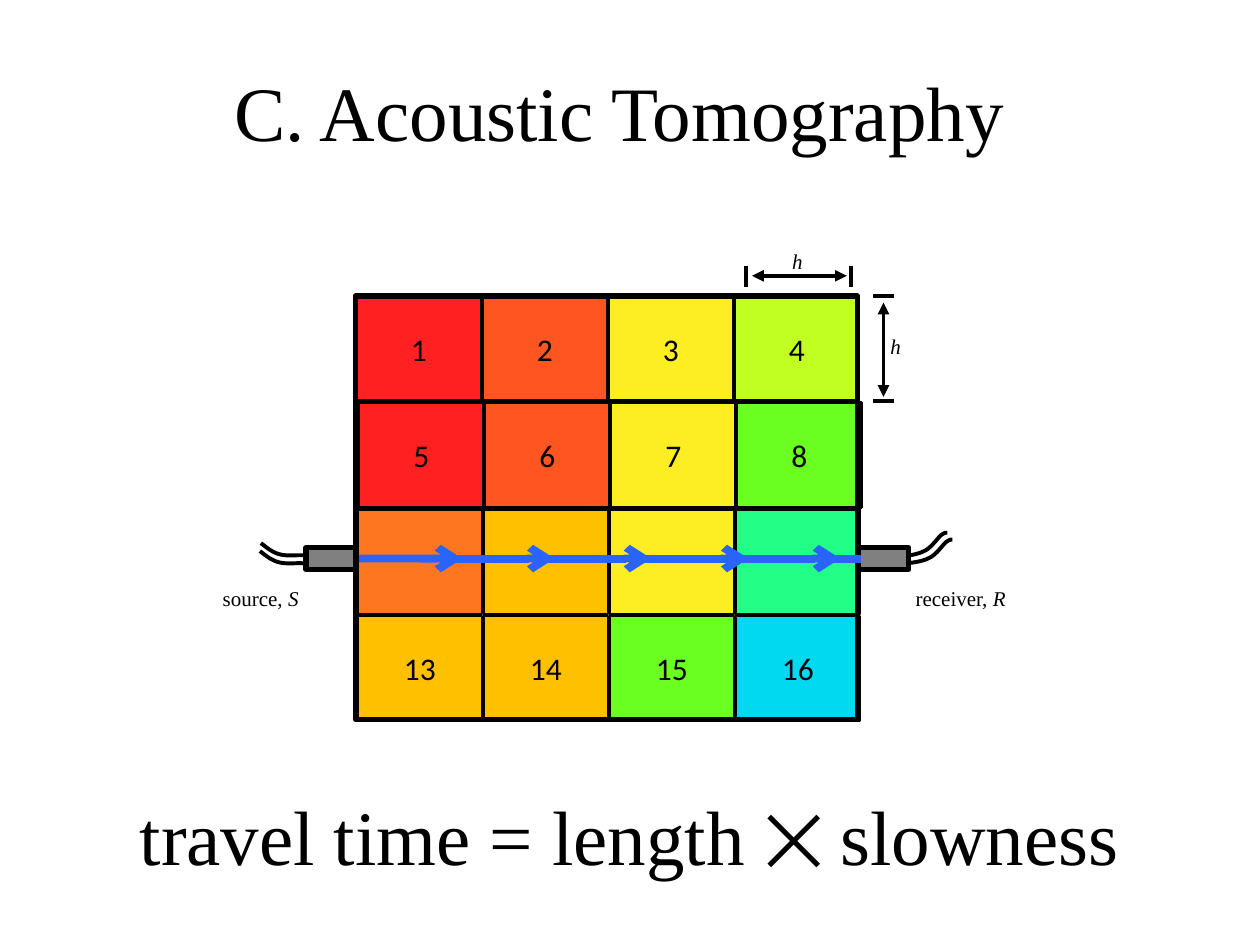
import pptx
import pptx.util
import pptx.dml.color
import pptx.enum.shapes
import pptx.enum.text
import pptx.oxml
import pptx.oxml.ns
from pptx.util import Cm

THEME = {
    "serif": "Times New Roman", "sans": "Calibri",
    "ink": "000000", "ray": "2B63FF", "transducer": "808080",
    "headline": 44, "number": 18, "label": 12,
    "cell_line": 1.5, "thin": 2.25, "thick": 3, "ray_line": 4.5,
}

TITLE = "C. Acoustic Tomography"
EQUATION = "travel time = length ⨉ slowness"

CELL_ROWS = [
    (7.19, ["FF2121", "FF5621", "FDED23", "C0FF21"], ["1", "2", "3", "4"]),
    (7.24, ["FF2121", "FF5621", "FDED23", "6BFF21"], ["5", "6", "7", "8"]),
    (7.21, ["FF7621", "FFC000", "FDED23", "22FE86"], [""] * 4),
    (7.21, ["FFC000", "FFC000", "6BFF21", "00D9F0"], ["13", "14", "15", "16"]),
]
GRID_TOP, PITCH_X, PITCH_Y = 5.97, 2.54, 2.15
CELL_WIDTH, CELL_HEIGHT = 2.51, 2.11
FRAME = (7.16, 5.97, 10.13, 8.53)

SOURCE, RECEIVER = (6.17, 11.04, 1.07, 0.44), (17.25, 11.04, 1.07, 0.44)
SOURCE_WIRE = [(5.26, 10.95), (5.39, 11.05), (5.51, 11.15), (5.66, 11.18), (5.82, 11.22),
               (6.05, 11.18), (6.15, 11.2), (6.25, 11.2), (6.25, 11.23), (6.25, 11.25)]
RECEIVER_WIRE = [(18.16, 11.22), (18.31, 11.2), (18.49, 11.18), (18.63, 11.11), (18.77, 11.05),
                 (18.9, 10.85), (18.97, 10.79), (19.05, 10.73), (19.08, 10.74), (19.1, 10.74)]
WIRES = [(SOURCE_WIRE, 0, 0), (SOURCE_WIRE, -0.02, 0.16),
         (RECEIVER_WIRE, 0, 0), (RECEIVER_WIRE, 0.1, 0.14)]

RAY_Y = 11.26
RAY_ARROWS = [(7.24, 9.32), (9.09, 11.18), (11.05, 13.13), (13, 15.09), (14.4, 16.94)]
RAY_END = (16.71, 17.35)

SPANS = [((17.81, 6.1), (17.81, 8)), ((15.16, 5.56), (17.07, 5.56))]
TICKS = [((17.6, 5.97), (18.03, 5.97)), ((17.6, 8.08), (18.03, 8.08)),
         ((15.04, 5.79), (15.04, 5.36)), ((17.15, 5.79), (17.15, 5.36))]
LABELS = [
    ((17.7, 6.6, 0.64, 0.76), [("h", True)]),
    ((15.72, 4.88, 0.64, 0.76), [("h", True)]),
    ((4.24, 11.68, 2.34, 0.76), [("source, ", False), ("S", True)]),
    ((18.21, 11.68, 2.74, 0.76), [("receiver, ", False), ("R", True)]),
]


def colour(name):
    return pptx.dml.color.RGBColor.from_string(THEME.get(name, name))


def write(frame, runs, size="label", font="serif", centred=False):
    frame.word_wrap = True
    paragraph = frame.paragraphs[0]
    if centred:
        paragraph.alignment = pptx.enum.text.PP_ALIGN.CENTER
        frame.vertical_anchor = pptx.enum.text.MSO_ANCHOR.MIDDLE
    for words, italic in runs:
        run = paragraph.add_run()
        run.text = words
        run.font.size = pptx.util.Pt(THEME[size])
        run.font.name = THEME[font]
        run.font.italic = italic
        run.font.color.rgb = colour("ink")


def outline(shape, weight, ink="ink"):
    shape.line.color.rgb = colour(ink)
    shape.line.width = pptx.util.Pt(THEME[weight])


def block(slide, box, weight, fill=None):
    rectangle = slide.shapes.add_shape(pptx.enum.shapes.MSO_SHAPE.RECTANGLE, *map(Cm, box))
    rectangle.shadow.inherit = False
    if fill:
        rectangle.fill.solid()
        rectangle.fill.fore_color.rgb = colour(fill)
    else:
        rectangle.fill.background()
    outline(rectangle, weight)
    return rectangle


def segment(slide, start, end, weight, ink="ink", **arrowheads):
    line = slide.shapes.add_connector(
        pptx.enum.shapes.MSO_CONNECTOR.STRAIGHT, *map(Cm, start + end))
    outline(line, weight, ink)
    stroke = line.line._get_or_add_ln()
    for tag, style in arrowheads.items():
        stroke.append(pptx.oxml.parse_xml(
            f'<a:{tag} {pptx.oxml.ns.nsdecls("a")} type="{style}"/>'))
    line._element.spPr.append(
        pptx.oxml.parse_xml(f'<a:effectLst {pptx.oxml.ns.nsdecls("a")}/>'))
    return line


def bezier(controls, steps=10):
    points = [controls[0]]
    for first in range(0, len(controls) - 1, 3):
        a, b, c, d = controls[first:first + 4]
        for step in range(1, steps + 1):
            t = step / steps
            points.append(tuple(
                (1 - t) ** 3 * a[i] + 3 * (1 - t) ** 2 * t * b[i]
                + 3 * (1 - t) * t ** 2 * c[i] + t ** 3 * d[i] for i in (0, 1)))
    return points


def wire(slide, controls, shift_x, shift_y):
    points = [(Cm(x + shift_x), Cm(y + shift_y)) for x, y in bezier(controls)]
    builder = slide.shapes.build_freeform(*points[0])
    builder.add_line_segments(points[1:], close=False)
    curve = builder.convert_to_shape()
    curve.shadow.inherit = False
    curve.fill.background()
    outline(curve, "thin")


def main():
    deck = pptx.Presentation()
    deck.slide_width, deck.slide_height = Cm(25.4), Cm(19.05)
    slide = deck.slides.add_slide(deck.slide_layouts[5])

    title = slide.shapes.title
    title.left, title.top, title.width, title.height = map(Cm, (1.06, 0.64, 22.86, 3.18))
    write(title.text_frame, [(TITLE, False)], size="headline", centred=True)

    for controls, shift_x, shift_y in WIRES:
        wire(slide, controls, shift_x, shift_y)
    block(slide, RECEIVER, "thick", "transducer")
    source = block(slide, SOURCE, "thick", "transducer")

    for row, (left, fills, numbers) in enumerate(CELL_ROWS):
        for column, (fill, number) in enumerate(zip(fills, numbers)):
            box = (left + column * PITCH_X, GRID_TOP + row * PITCH_Y, CELL_WIDTH, CELL_HEIGHT)
            cell = block(slide, box, "cell_line", fill)
            if number:
                write(cell.text_frame, [(number, False)], size="number", font="sans", centred=True)
    block(slide, FRAME, "thick")

    rays = [segment(slide, (start, RAY_Y), (end, RAY_Y), "ray_line", "ray", tailEnd="arrow")
            for start, end in RAY_ARROWS]
    rays[0].begin_connect(source, 3)
    segment(slide, (RAY_END[0], RAY_Y), (RAY_END[1], RAY_Y), "ray_line", "ray")

    for start, end in SPANS:
        segment(slide, start, end, "thin", headEnd="triangle", tailEnd="triangle")
    for start, end in TICKS:
        segment(slide, start, end, "thin")

    for box, runs in LABELS:
        write(slide.shapes.add_textbox(*map(Cm, box)).text_frame, runs)
    equation = slide.shapes.add_textbox(*map(Cm, (1.27, 15.24, 22.86, 3.18)))
    write(equation.text_frame, [(EQUATION, False)], size="headline", centred=True)

    deck.save("out.pptx")


if __name__ == "__main__":
    main()
